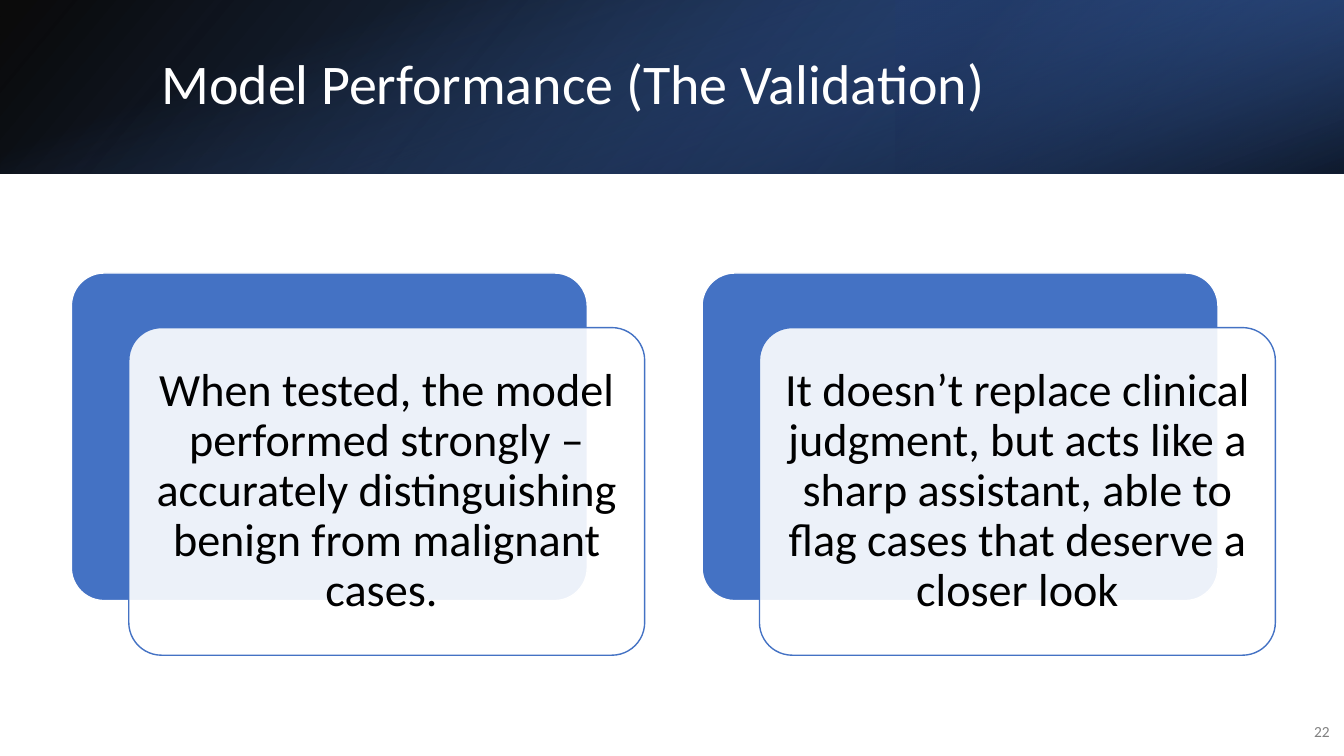
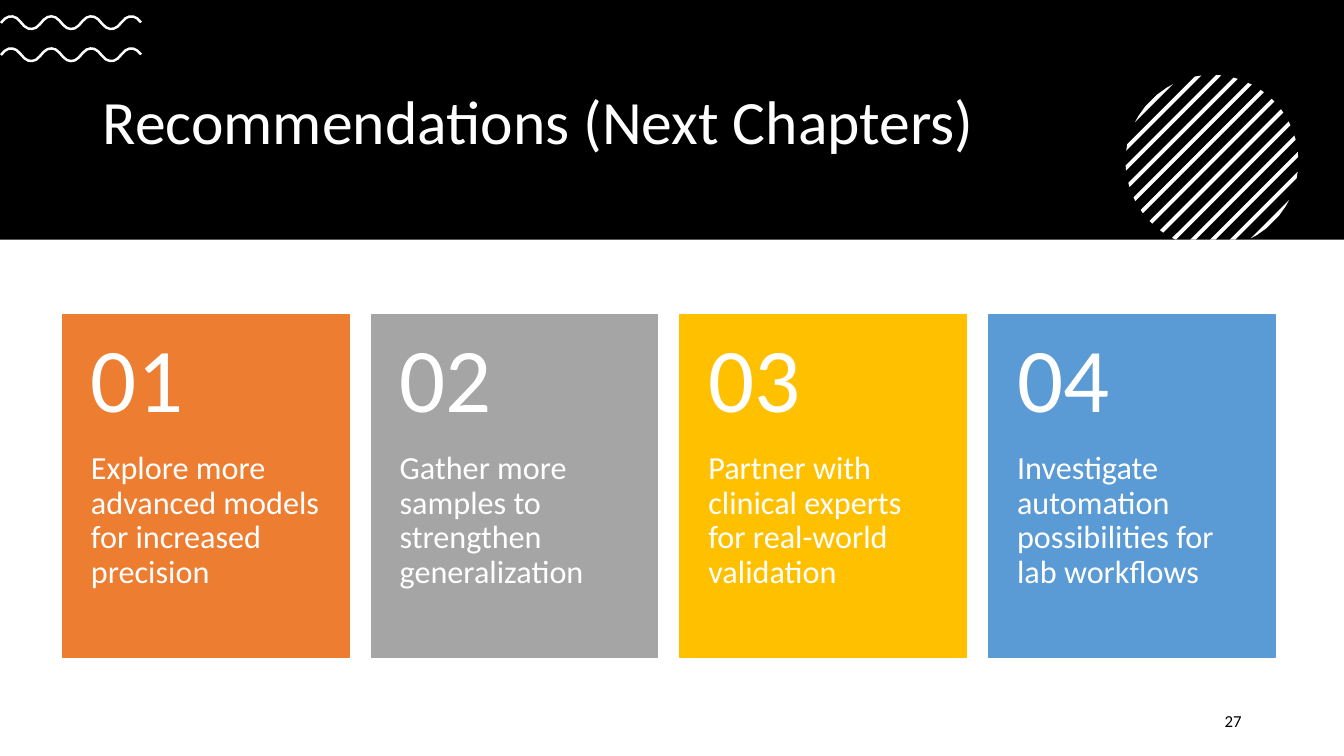
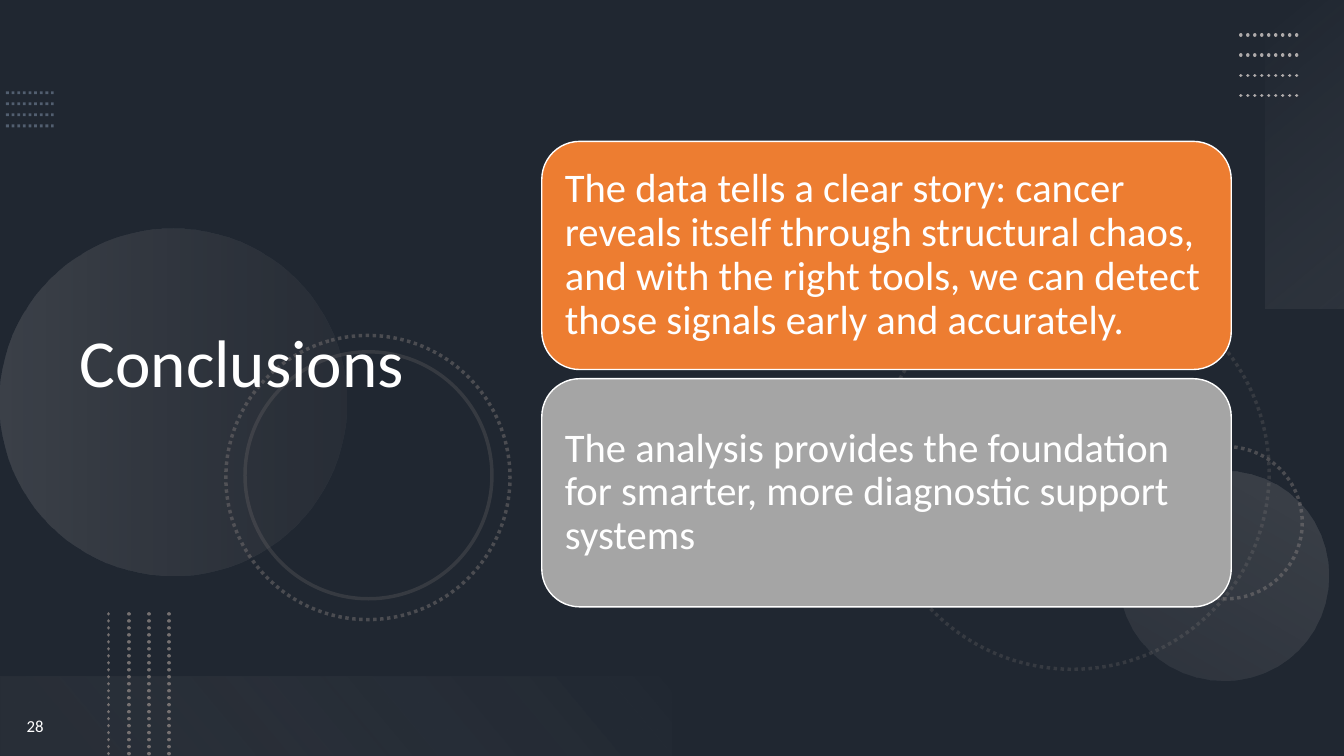
from math import cos, sin, pi, hypot, sqrt
from lxml.etree import SubElement
from pptx import Presentation
from pptx.dml.color import RGBColor
from pptx.enum.dml import MSO_LINE
from pptx.enum.shapes import MSO_CONNECTOR, MSO_SHAPE
from pptx.enum.text import MSO_ANCHOR, MSO_AUTO_SIZE, PP_ALIGN
from pptx.oxml.ns import qn
from pptx.util import Pt

WIDE, HIGH = 960, 540
FONT = "Calibri"
WHITE, BLACK = "FFFFFF", "000000"
BLUE, NAVY, DEEP, SKY = "4472C4", "203864", "2F5597", "5B9BD5"
ORANGE, GRAY, GOLD = "ED7D31", "A5A5A5", "FFC000"
SLATE, STEEL, SILVER, STONE = "44546A", "8497B0", "AFABAB", "767171"


def tint(code):
    return RGBColor.from_string(code)


def fade(node, alpha):
    if alpha < 100:
        mark = next(node.iter(qn("a:srgbClr")))
        SubElement(mark, qn("a:alpha"), val=str(alpha * 1000))


def blend(shape, stops, angle):
    frame = shape._element.spPr
    grad = SubElement(frame, qn("a:gradFill"), rotWithShape="1")
    frame.find(qn("a:prstGeom")).addnext(grad)
    items = SubElement(grad, qn("a:gsLst"))
    for place, code, alpha in stops:
        stop = SubElement(items, qn("a:gs"), pos=str(place * 1000))
        SubElement(stop, qn("a:srgbClr"), val=code)
        fade(stop, alpha)
    SubElement(grad, qn("a:lin"), ang=str(angle * 60000), scaled="0")


def stroke(line, code, width, dots=False, alpha=100, cap="flat"):
    line.color.rgb = tint(code)
    line.width = Pt(width)
    if dots:
        line.dash_style = MSO_LINE.ROUND_DOT
    pen = line._get_or_add_ln()
    pen.set("cap", cap)
    fade(pen, alpha)


def draw(slide, kind, box, fill=None, alpha=100, edge=None, stops=None,
         angle=0, turn=0, flip=False, round=None):
    shape = slide.shapes.add_shape(kind, *map(Pt, box))
    shape.shadow.inherit = False
    shape.rotation = turn
    if flip:
        shape._element.spPr.xfrm.set("flipH", "1")
    if round:
        shape.adjustments[0] = round
    if stops:
        blend(shape, stops, angle)
    elif fill:
        shape.fill.solid()
        shape.fill.fore_color.rgb = tint(fill)
        fade(shape._element.spPr, alpha)
    else:
        shape.fill.background()
    if edge:
        stroke(shape.line, **edge)
    else:
        shape.line.fill.background()
    return shape


def write(shape, text, size=12, color=WHITE, align=PP_ALIGN.LEFT,
          anchor=MSO_ANCHOR.MIDDLE, pads=(7.2, 3.6, 7.2, 3.6), space=0.9):
    frame = shape.text_frame
    frame.word_wrap = True
    frame.auto_size = MSO_AUTO_SIZE.NONE
    frame.vertical_anchor = anchor
    frame.margin_left, frame.margin_top, frame.margin_right, frame.margin_bottom = map(Pt, pads)
    frame.text = text
    para = frame.paragraphs[0]
    para.alignment = align
    para.line_spacing = space
    para.font.name = FONT
    para.font.size = Pt(size)
    para.font.color.rgb = tint(color)


def label(slide, box, text, **style):
    write(slide.shapes.add_textbox(*map(Pt, box)), text, **style)


def title(slide, box, text, size):
    shape = slide.shapes.title
    shape.left, shape.top, shape.width, shape.height = map(Pt, box)
    write(shape, text, size=size)
    slide.shapes._spTree.append(shape._element)


def begin(deck, back=WHITE):
    slide = deck.slides.add_slide(deck.slide_layouts[5])
    slide.background.fill.solid()
    slide.background.fill.fore_color.rgb = tint(back)
    return slide


def trace(slide, points, fill=WHITE):
    marks = [(x * 100, y * 100) for x, y in points]
    pen = slide.shapes.build_freeform(*marks[0], scale=127)
    pen.add_line_segments(marks[1:], close=True)
    shape = pen.convert_to_shape()
    shape.shadow.inherit = False
    shape.fill.solid()
    shape.fill.fore_color.rgb = tint(fill)
    shape.line.fill.background()


def wave(slide, box, thick=1.8, cycle=28.6, crest=8, count=36):
    left, top, width, height = box
    swing = (height - thick) / 1.9
    upper, lower = [], []
    for step in range(count + 1):
        x = 0.7 + (width - 1.4) * step / count
        turn = 2 * pi * (x - crest) / cycle
        y = height / 2 - swing * (cos(turn) - 0.05 * cos(3 * turn))
        slope = swing * (sin(turn) - 0.15 * sin(3 * turn)) * 2 * pi / cycle
        unit = thick / 2 / hypot(1, slope)
        upper.append((left + x + slope * unit, top + y - unit))
        lower.append((left + x - slope * unit, top + y + unit))
    trace(slide, upper + lower[::-1])


def disc(slide, box, floor, gap=10, thick=2.8):
    left, top, size = box
    radius = size / 2
    mid_x, mid_y = left + radius, top + radius
    for row in range(-6, 7):
        upper, lower = [], []
        count = 2 if abs(row) == 6 else 1
        for step in range(count + 1):
            off = row * gap + thick * (step / count - 0.5)
            half = sqrt(radius ** 2 - off ** 2)
            low = min(half, (floor - mid_y) * sqrt(2) - off)
            upper.append((mid_x + (off + half) / sqrt(2), mid_y + (off - half) / sqrt(2)))
            lower.append((mid_x + (off - low) / sqrt(2), mid_y + (off + low) / sqrt(2)))
        trace(slide, upper + lower[::-1])


def dots(slide, start, span, step, code, width, alpha=100, cap="rnd"):
    for row in range(4):
        x, y = start[0] + row * step[0], start[1] + row * step[1]
        ends = map(Pt, (x, y, x + span[0], y + span[1]))
        line = slide.shapes.add_connector(MSO_CONNECTOR.STRAIGHT, *ends)
        stroke(line.line, code, width, True, alpha, cap)
        SubElement(line._element.spPr, qn("a:effectLst"))


def glow(slide, height):
    draw(slide, MSO_SHAPE.RECTANGLE, (0, 0, WIDE, height), flip=True, angle=140,
         stops=[(0, BLACK, 96), (100, DEEP, 100)])
    draw(slide, MSO_SHAPE.RECTANGLE, (WIDE * 2 / 3, 0, WIDE / 3, height), turn=180,
         flip=True, angle=320, stops=[(19, NAVY, 68), (100, BLUE, 79)])
    side = (WIDE - height) / 2
    draw(slide, MSO_SHAPE.RECTANGLE, (side, -side, height, WIDE), turn=90, angle=340,
         stops=[(23, BLUE, 0), (99, BLACK, 74)])


def stack(slide, box, text, shift=(41, 39)):
    left, top, width, height = box
    size = width - shift[0], height - shift[1]
    draw(slide, MSO_SHAPE.ROUNDED_RECTANGLE, (left, top, *size), fill=BLUE,
         edge=dict(code=WHITE, width=1), round=0.1)
    front = left + shift[0], top + shift[1], *size
    draw(slide, MSO_SHAPE.ROUNDED_RECTANGLE, front, fill=WHITE, alpha=90,
         edge=dict(code=BLUE, width=1), round=0.1)
    label(slide, inset(front, 6.9), text, size=33, color=BLACK,
          align=PP_ALIGN.CENTER, pads=(10,) * 4)


def inset(box, rim):
    left, top, width, height = box
    return left + rim, top + rim, width - 2 * rim, height - 2 * rim


def tile(slide, box, mark, text, fill):
    left, top, width, height = box
    head = height * 0.4
    draw(slide, MSO_SHAPE.RECTANGLE, box, fill=fill, edge=dict(code=fill, width=1))
    label(slide, (left, top + head, width, height - head), text, size=23,
          anchor=MSO_ANCHOR.TOP, pads=(20.2, 0, 20.2, 26))
    label(slide, (left, top, width, head), mark, size=65, pads=(20.2, 13, 20.2, 13))


def ring(slide, left, top, size, dotted, alpha):
    draw(slide, MSO_SHAPE.OVAL, (left, top, size, size), turn=75,
         edge=dict(code=STONE, width=2.5, dots=dotted, alpha=alpha))


def night(slide):
    draw(slide, MSO_SHAPE.RECTANGLE, (0, 0, WIDE, HIGH), fill=BLACK, alpha=53)
    dots(slide, (4.3, 66.2), (34, 0), (0, 7.9), STEEL, 2, 50, "flat")
    rings = [(625.7, 197.3, 280.8, True, 25), (821.5, 319, 108.7, True, 50),
             (161.3, 239.6, 203, True, 50), (175, 251.3, 176.4, False, 25)]
    discs = [(0, 163.4, 247.7, 270, 20, 10, STONE),
             (799.2, 336.2, 149.8, 210, 10, 20, SILVER)]
    for item in rings[:2]:
        ring(slide, *item)
    for left, top, size, turn, first, last, code in discs:
        draw(slide, MSO_SHAPE.OVAL, (left, top, size, size), turn=turn, angle=90,
             stops=[(0, SILVER, first), (100, code, last)])
    for item in rings[2:]:
        ring(slide, *item)
    draw(slide, MSO_SHAPE.RECTANGLE, (822.2, 82.1, 220.3, 56.2), turn=270, angle=140,
         stops=[(0, "F5F5F5", 0), (100, SILVER, 10)])
    dots(slide, (886.3, 25), (43.2, 0), (0, 14.4), SILVER, 2.5)
    draw(slide, MSO_SHAPE.RECTANGLE, (0, 483.5, WIDE / 2, 56.5), turn=180, angle=140,
         stops=[(10, STONE, 10), (100, "F1F0F0", 0)])
    dots(slide, (120.8, 438.5), (0, 101.5), (-14.4, 0), STONE, 2.5)


def panel(slide, box, text, fill):
    draw(slide, MSO_SHAPE.ROUNDED_RECTANGLE, box, fill=fill,
         edge=dict(code=WHITE, width=1))
    label(slide, inset(box, 7.9), text, size=29, pads=(8.6,) * 4)


def results(deck):
    slide = begin(deck)
    glow(slide, 124)
    title(slide, (108, 27.4, 790.6, 69), "Model Performance (The Validation)", 40)
    label(slide, (921.6, 508.3, 35.3, 28.8), "22", size=11, color="808080",
          align=PP_ALIGN.RIGHT, space=1)
    texts = ["When tested, the model performed strongly – accurately distinguishing "
             "benign from malignant cases. ",
             "It doesn’t replace clinical judgment, but acts like a sharp assistant, "
             "able to flag cases that deserve a closer look"]
    width, gap = 409.5, 41
    for spot, text in enumerate(texts):
        stack(slide, (51 + spot * (width + gap), 195, width, 273), text)


def advice(deck):
    slide = begin(deck)
    floor = 171.2
    draw(slide, MSO_SHAPE.RECTANGLE, (0, 0, WIDE, floor), fill=BLACK)
    title(slide, (66.2, 44.6, 828, 88.6), "Recommendations (Next Chapters)", 44)
    for top in (33.7, 10.8):
        wave(slide, (0, top, 101.5, 10.8))
    disc(slide, (804, 53.5, 123.4), floor)
    label(slide, (678, 500.4, 216, 28.8), "27", color=BLACK,
          align=PP_ALIGN.RIGHT, space=1)
    cards = [("Explore more advanced models for increased precision", ORANGE),
             ("Gather more samples to strengthen generalization", GRAY),
             ("Partner with clinical experts for real-world validation", GOLD),
             ("Investigate automation possibilities for lab workflows", SKY)]
    gap = 16
    width = (866 - 3 * gap) / 4
    for spot, (text, fill) in enumerate(cards):
        box = 44.8 + spot * (width + gap), 224.6, width, 245
        tile(slide, box, f"{spot + 1:02}", text, fill)


def closing(deck):
    slide = begin(deck, SLATE)
    night(slide)
    title(slide, (49.7, 38.9, 330.5, 444.2), "Conclusions", 48)
    label(slide, (0, 496.8, 50.4, 43.2), "28", align=PP_ALIGN.CENTER, space=1)
    points = [("The data tells a clear story: cancer reveals itself through structural "
               "chaos, and with the right tools, we can detect those signals early "
               "and accurately.", ORANGE),
              ("The analysis provides the foundation for smarter, more diagnostic "
               "support systems", GRAY)]
    height, gap = 163, 6.5
    for row, (text, fill) in enumerate(points):
        panel(slide, (387, 101 + row * (height + gap), 492.5, height), text, fill)


def main():
    deck = Presentation()
    deck.slide_width, deck.slide_height = Pt(WIDE), Pt(HIGH)
    for build in (results, advice, closing):
        build(deck)
    deck.save("out.pptx")


if __name__ == "__main__":
    main()
